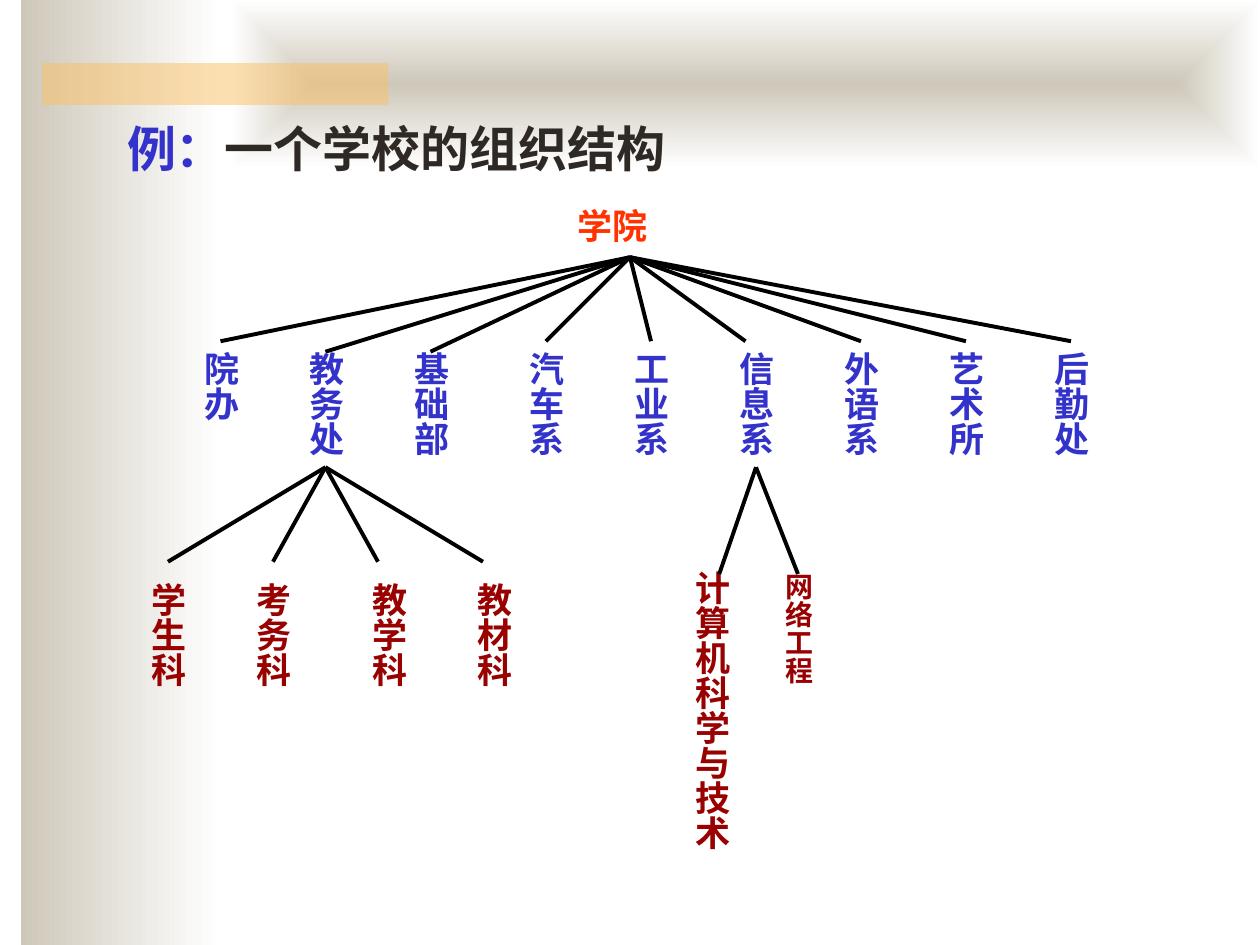
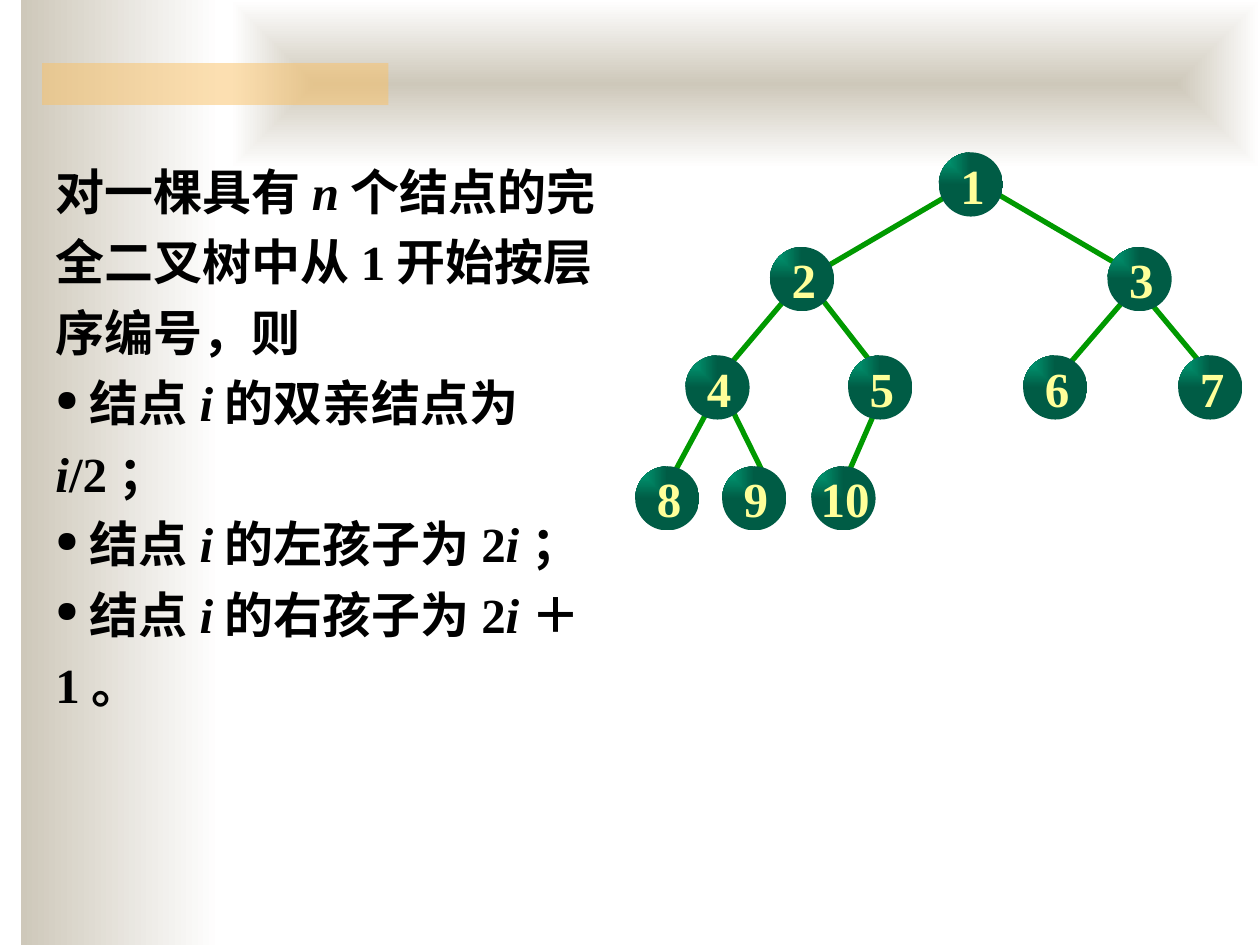
from collections import namedtuple

import pptx
import pptx.util
import pptx.dml.color
import pptx.enum.shapes
import pptx.enum.text
import pptx.oxml.ns
from lxml import etree

Pt = pptx.util.Pt
SHAPE = pptx.enum.shapes.MSO_SHAPE
ANCHOR = pptx.enum.text.MSO_ANCHOR
ALIGN = pptx.enum.text.PP_ALIGN
qn = pptx.oxml.ns.qn

Box = namedtuple("Box", "x y w h")
Branch = namedtuple("Branch", "text x tip_x tip_y label_y size")
Node = namedtuple("Node", "x level edge")


class Theme:
    stone, white, amber = "CEC8BA", "FFFFFF", "FAC164"
    blue, ink, orange, red, black = "3333CC", "2E2924", "FF3300", "990000", "000000"
    edge, node_light, node_dark, node_text = "009900", "00A87E", "005C45", "FFFF99"
    title_size, label_size, small_size = 28, 20, 16
    title_font, label_font, body_font = "Comic Neue", "Lato", "Times New Roman"
    cjk_font = "Noto Sans CJK SC"
    line_spacing = 40.3


def rgb(value):
    return pptx.dml.color.RGBColor.from_string(value)


def add_xml(parent, tag, **attrs):
    return etree.SubElement(parent, qn(tag), attrs)


def style_font(font, name, size, color):
    font.name, font.size, font.bold = name, Pt(size), True
    font.color.rgb = rgb(color)
    ea = etree.Element(qn("a:ea"), typeface=Theme.cjk_font)
    font._element.find(qn("a:latin")).addnext(ea)


def add_filled(s, kind, box):
    sp = s.shapes.add_shape(kind, *map(Pt, box))
    sp.shadow.inherit = False
    sp.line.fill.background()
    return sp


def set_gradient(sp, start, end, path=None, focus=None):
    sp.fill.gradient()
    sp.fill.gradient_angle = 0
    for stop, color in zip(sp.fill.gradient_stops, (start, end)):
        stop.color.rgb = rgb(color)
    if path:
        grad = sp._element.spPr.find(qn("a:gradFill"))
        grad.remove(grad.find(qn("a:lin")))
        node = add_xml(grad, "a:path", path=path)
        add_xml(node, "a:fillToRect", **dict(zip("ltrb", focus)))


def add_line(s, start, end, color, width):
    c = s.shapes.add_connector(pptx.enum.shapes.MSO_CONNECTOR.STRAIGHT,
                               *map(Pt, (*start, *end)))
    c.line.color.rgb = rgb(color)
    c.line.width = Pt(width)
    add_xml(c._element.spPr, "a:effectLst")


def add_text_frame(s, box, inset_x=0, inset_y=0, anchor=ANCHOR.MIDDLE):
    tf = s.shapes.add_textbox(*map(Pt, box)).text_frame
    tf.word_wrap = True
    tf.vertical_anchor = anchor
    tf.margin_left = tf.margin_right = Pt(inset_x)
    tf.margin_top = tf.margin_bottom = Pt(inset_y)
    return tf


def add_label(s, box, text, size, color, vertical=False):
    tf = add_text_frame(s, box)
    if vertical:
        tf._txBody.bodyPr.set("vert", "eaVert")
    p = tf.paragraphs[0]
    p.text = text
    style_font(p.font, Theme.label_font, size, color)


def add_frame(s, box):
    side = add_filled(s, SHAPE.RECTANGLE, (box.x + 12, box.y, 114, box.h))
    set_gradient(side, Theme.stone, Theme.white)
    top = add_filled(s, SHAPE.RECTANGLE, (box.x + 132, box.y, box.w - 132, 96))
    set_gradient(top, Theme.stone, Theme.white, "shape", ["50000"] * 4)
    accent = add_filled(s, SHAPE.RECTANGLE, (box.x + 24, box.y + 36, 198, 24))
    accent.fill.solid()
    accent.fill.fore_color.rgb = rgb(Theme.amber)
    color = accent._element.spPr.find(qn("a:solidFill"))[0]
    add_xml(color, "a:alpha", val="50000")


def add_title(s, box, parts):
    p = add_text_frame(s, box, 7.2, 3.6).paragraphs[0]
    for text, font, color in parts:
        r = p.add_run()
        r.text = text
        style_font(r.font, font, Theme.title_size, color)


def add_branches(s, box, apex_x, branches, color):
    for b in branches:
        height = max(78, len(b.text) * b.size + 10)
        add_label(s, (box.x + b.x - 12, box.y + b.label_y, 24, height),
                  b.text, b.size, color, vertical=True)
        add_line(s, (box.x + apex_x, box.y),
                 (box.x + b.tip_x, box.y + b.tip_y), Theme.black, 2.25)


def add_org_chart(s, box):
    size = Theme.label_size
    add_label(s, (box.x + 234, box.y, 66, 24), "学院", size, Theme.orange)

    names = ["院办", "教务处", "基础部", "汽车系", "工业系",
             "信息系", "外语系", "艺术所", "后勤处"]
    departments = []
    for i, name in enumerate(names):
        x = 30 + 60 * i + (6 if i > 2 else 0)
        tip_x = x - 6 if name == "信息系" else x
        tip_y = 54 if i in (1, 2) else 48
        departments.append(Branch(name, x, tip_x, tip_y, 54, size))
    add_branches(s, Box(box.x, box.y + 30, 546, 132), 264, departments, Theme.blue)

    offices = []
    for i, name in enumerate(["学生科", "考务科", "教学科", "教材科"]):
        x = 60 * i
        offices.append(Branch(name, x + (6 if i > 1 else 0), x, 54, 66, size))
    add_branches(s, Box(box.x, box.y + 150, 200, 144), 90, offices, Theme.red)

    majors = [Branch("计算机科学与技术", 310.5, 315, 61, 59, size),
              Branch("网络工程", 360, 360, 61, 60.5, Theme.small_size)]
    add_branches(s, Box(box.x, box.y + 150, 372, 230), 336, majors, Theme.red)


def add_rules(s, box, paragraphs):
    tf = add_text_frame(s, box, 0, 3.6, ANCHOR.TOP)
    for i, parts in enumerate(paragraphs):
        p = tf.paragraphs[0] if i == 0 else tf.add_paragraph()
        p.line_spacing = Pt(Theme.line_spacing)
        if i:
            pPr = p._p.get_or_add_pPr()
            pPr.set("marL", "0")
            pPr.set("indent", "0")
            add_xml(pPr, "a:buSzPct", val="60000")
            add_xml(pPr, "a:buChar", char="●")
        style_font(p.font, Theme.body_font, Theme.title_size, Theme.black)
        for j, text in enumerate(parts):
            r = p.add_run()
            r.text = text
            r.font.italic = j % 2 == 1


def add_binary_tree(s, box):
    d = 36.72
    levels = [18.4, 72.5, 134.4, 197.8]
    nodes = [
        Node(191.8, 0, None),
        Node(95.3, 1, (181.3, 23.2, 101.4, 70)),
        Node(288.2, 1, (205.8, 23.2, 285.7, 70)),
        Node(47, 2, (84.8, 85.1, 45.2, 131.9)),
        Node(140, 2, (101.4, 77.2, 136.7, 122.5)),
        Node(240, 2, (285.7, 77.2, 245.4, 124)),
        Node(328.6, 2, (293.6, 85.1, 326, 124)),
        Node(18.3, 3, (46, 139.1, 20.8, 185.9)),
        Node(68, 3, (55.3, 147, 76.9, 190.9)),
        Node(119, 3, (141, 139.1, 117.2, 193.8)),
    ]
    for n in nodes:
        if n.edge:
            x1, y1, x2, y2 = n.edge
            add_line(s, (box.x + x1, box.y + y1), (box.x + x2, box.y + y2),
                     Theme.edge, 3)
    for number, n in enumerate(nodes, 1):
        sp = add_filled(s, SHAPE.OVAL, (box.x + n.x - d / 2,
                                        box.y + levels[n.level] - d / 2, d, d))
        set_gradient(sp, Theme.node_light, Theme.node_dark, "rect",
                     ["0", "0", "100000", "100000"])
        tf = sp.text_frame
        tf.word_wrap = False
        tf.vertical_anchor = ANCHOR.MIDDLE
        tf.margin_left = Pt(2)
        tf.margin_right = tf.margin_top = tf.margin_bottom = 0
        p = tf.paragraphs[0]
        p.text = str(number)
        p.alignment = ALIGN.CENTER
        style_font(p.font, Theme.body_font, Theme.title_size, Theme.node_text)


def add_slide(prs):
    s = prs.slides.add_slide(prs.slide_layouts[6])
    add_frame(s, Box(0, 0, 720, 540))
    return s


def add_school_slide(prs):
    s = add_slide(prs)
    add_title(s, Box(65.5, 63.4, 594, 41.8), [
        ("例：", Theme.title_font, Theme.blue),
        ("一个学校的组织结构", Theme.cjk_font, Theme.ink)])
    add_org_chart(s, Box(96, 117, 546, 380))


def add_numbering_slide(prs):
    s = add_slide(prs)
    add_binary_tree(s, Box(363, 87, 347, 217))
    add_rules(s, Box(31.7, 82, 327.6, 330), [
        ("对一棵具有", "n", "个结点的完全二叉树中从1开始按层序编号，则"),
        (" 结点", "i", "的双亲结点为 ", "i", "/2；"),
        (" 结点", "i", "的左孩子为2", "i", "；"),
        (" 结点", "i", "的右孩子为2", "i", "＋1。")])


def main():
    prs = pptx.Presentation()
    prs.slide_width, prs.slide_height = Pt(720), Pt(540)
    add_school_slide(prs)
    add_numbering_slide(prs)
    prs.save("out.pptx")


if __name__ == "__main__":
    main()
